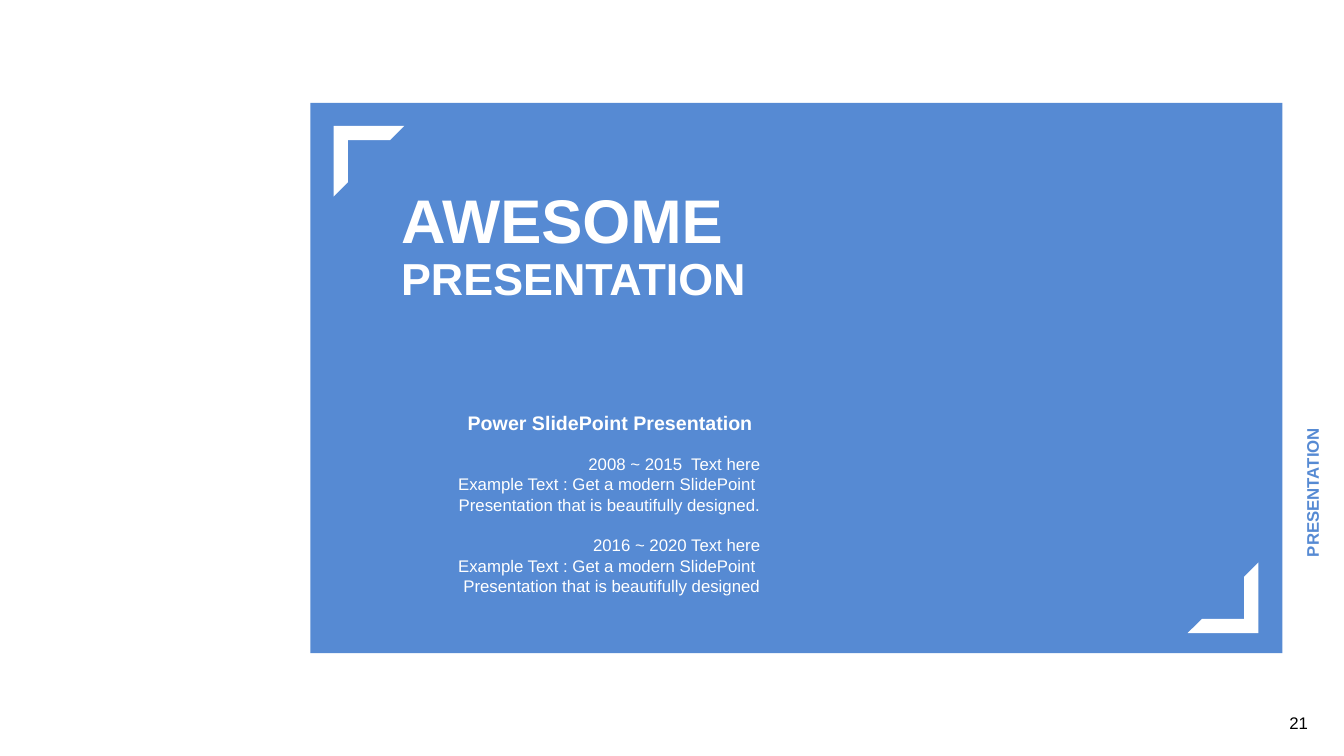
import pptx
import pptx.util
import pptx.dml.color
import pptx.enum.shapes
import pptx.enum.text

Inches, Pt = pptx.util.Inches, pptx.util.Pt
ALIGN = pptx.enum.text.PP_ALIGN
ANCHOR = pptx.enum.text.MSO_ANCHOR
SHAPE = pptx.enum.shapes.MSO_SHAPE

THEME = {
    "font": "Arial",
    "blue": "568AD3", "white": "FFFFFF", "black": "000000",
    "title": 44, "subtitle": 32, "heading": 14, "body": 12,
    "body_line": 14.5,
}

HISTORY = [
    ("2008 ~ 2015  Text here",
     "Example Text : Get a modern SlidePoint  Presentation that is beautifully designed."),
    ("2016 ~ 2020 Text here",
     "Example Text : Get a modern SlidePoint  Presentation that is beautifully designed"),
]

PANEL = (3.08, 1.02, 9.64, 5.46)
CORNER = 0.7
CORNERS = [(3.31, 1.25, 0), (11.78, 5.58, 180)]

TEXTS = [
    {"lines": ["AWESOME"], "box": (3.88, 1.75, 3.75, 0.84), "size": "title",
     "color": "white", "bold": True, "align": ALIGN.JUSTIFY, "anchor": ANCHOR.MIDDLE},
    {"lines": ["PRESENTATION"], "box": (3.88, 2.43, 3.75, 0.64), "size": "subtitle",
     "color": "white", "bold": True, "align": ALIGN.JUSTIFY, "anchor": ANCHOR.MIDDLE},
    {"lines": ["Power SlidePoint Presentation "], "box": (4.32, 4.03, 3.32, 0.34),
     "size": "heading", "color": "white", "bold": True, "align": ALIGN.RIGHT,
     "margin": 0.12},
    {"lines": ["PRESENTATION"], "box": (11.14, 3.6, 3.75, 0.3), "size": "body",
     "color": "blue", "bold": True, "align": ALIGN.JUSTIFY, "anchor": ANCHOR.MIDDLE,
     "rotation": 270},
    {"lines": ["21"], "box": (12.69, 7.02, 0.41, 0.3), "size": "body",
     "color": "black", "wrap": False},
]


def apply(obj, values):
    for name, value in values.items():
        setattr(obj, name, value)


def rgb(name):
    return pptx.dml.color.RGBColor.from_string(THEME[name])


def add_shape(slide, kind, box, color):
    sp = slide.shapes.add_shape(kind, *map(Inches, box))
    sp.shadow.inherit = False
    sp.fill.solid()
    sp.fill.fore_color.rgb = rgb(color)
    sp.line.fill.background()
    return sp


def add_text(slide, lines, box, size, color, bold=False, align=ALIGN.LEFT,
             anchor=ANCHOR.TOP, margin=0.1, rotation=0, wrap=True):
    sp = slide.shapes.add_textbox(*map(Inches, box))
    sp.rotation = rotation
    tf = sp.text_frame
    apply(tf, {"word_wrap": wrap, "vertical_anchor": anchor,
               "margin_left": Inches(margin), "margin_right": Inches(margin)})
    for i, line in enumerate(lines):
        p = tf.add_paragraph() if i else tf.paragraphs[0]
        p.alignment = align
        r = p.add_run()
        r.text = line
        apply(r.font, {"name": THEME["font"], "size": Pt(THEME[size]), "bold": bold})
        r.font.color.rgb = rgb(color)
    return tf


def add_history(slide):
    lines = [line for entry in HISTORY for line in entry]
    tf = add_text(slide, lines, (4.29, 4.45, 3.35, 1.51), "body", "white",
                  align=ALIGN.RIGHT)
    gap = Pt(THEME["body_line"])
    for p in tf.paragraphs:
        p.line_spacing = gap
    for p in tf.paragraphs[2::2]:
        p.space_before = gap


def main():
    prs = pptx.Presentation()
    apply(prs, {"slide_width": Inches(13.33), "slide_height": Inches(7.5)})
    s = prs.slides.add_slide(prs.slide_layouts[6])
    add_shape(s, SHAPE.RECTANGLE, PANEL, "blue")
    for left, top, rotation in CORNERS:
        sp = add_shape(s, SHAPE.HALF_FRAME, (left, top, CORNER, CORNER), "white")
        sp.rotation = rotation
        for i in range(2):
            sp.adjustments[i] = 0.2
    for text in TEXTS:
        add_text(s, **text)
    add_history(s)
    prs.save("out.pptx")


if __name__ == "__main__":
    main()
